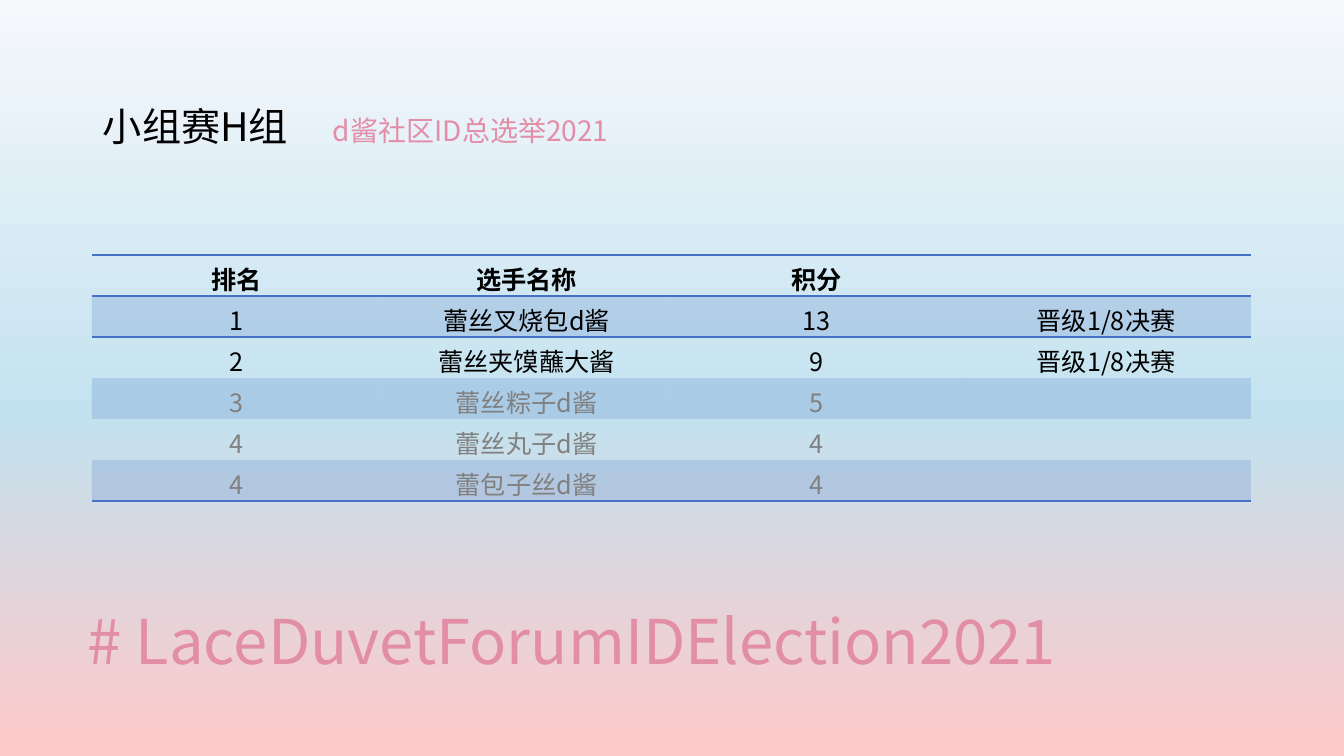
import copy
from pptx import Presentation
from pptx import util as u
from pptx.dml.color import RGBColor
from pptx.enum import text
from pptx.oxml import parse_xml
from pptx.oxml.ns import nsdecls, qn

PX = 914400 / 100.8
FONT = "Noto Sans CJK SC"
C = {"pink": "E28EA6", "black": "000000", "grey": "808080", "blue": "4472C4",
     "sky_top": "F6F8FC", "sky_mid": "C3E2EF", "sky_end": "FFC9C9"}


def px(n):
    return u.Emu(round(n * PX))


def add_run(p, words, size, color, bold=False):
    r = p.add_run()
    r.text = words
    for key, value in {"size": u.Pt(size), "bold": bold, "name": FONT}.items():
        setattr(r.font, key, value)
    r.font.color.rgb = RGBColor.from_string(C[color])
    r._r.get_or_add_rPr().append(parse_xml(f'<a:ea {nsdecls("a")} typeface="{FONT}"/>'))


prs = Presentation()
prs.slide_width, prs.slide_height = px(1344), px(756)
s = prs.slides.add_slide(prs.slide_layouts[6])

fill = s.background.fill
fill.gradient()
fill.gradient_angle = 270
stops = next(s._element.iter(qn("a:gsLst")))
stops.insert(1, copy.deepcopy(stops[0]))
for stop, (pos, color) in zip(fill.gradient_stops,
                              [(0, "sky_top"), (0.55, "sky_mid"), (1, "sky_end")]):
    stop.position = pos
    stop.color.rgb = RGBColor.from_string(C[color])

boxes = [
    ((78, 572, 1159, 146), text.MSO_ANCHOR.MIDDLE, 0,
     [("# LaceDuvetForumIDElection2021", 44, "pink")]),
    ((93, 103, 1159, 54), text.MSO_ANCHOR.TOP, 10,
     [("小组赛H组\t", 28, "black"), ("d酱社区ID总选举2021", 20, "pink")]),
]
for place, anchor, before, runs in boxes:
    tf = s.shapes.add_textbox(*map(px, place)).text_frame
    for key, value in {"word_wrap": True, "vertical_anchor": anchor}.items():
        setattr(tf, key, value)
    p = tf.paragraphs[0]
    for key, value in {"line_spacing": 0.9, "space_before": u.Pt(before)}.items():
        setattr(p, key, value)
    for run in runs:
        add_run(p, *run)
p._p.get_or_add_pPr().append(parse_xml(
    f'<a:tabLst {nsdecls("a")}><a:tab pos="{px(230)}" algn="l"/></a:tabLst>'))

rows = [
    ("排名", "选手名称", "积分", ""),
    ("1", "蕾丝叉烧包d酱", "13", "晋级1/8决赛"),
    ("2", "蕾丝夹馍蘸大酱", "9", "晋级1/8决赛"),
    ("3", "蕾丝粽子d酱", "5", ""),
    ("4", "蕾丝丸子d酱", "4", ""),
    ("4", "蕾包子丝d酱", "4", ""),
]
borders = {0: ("lnT", "lnB"), 1: ("lnT",), len(rows) - 1: ("lnB",)}
table = s.shapes.add_table(len(rows), 4, *map(px, (92, 255, 1159, 245))).table
for key in ("first_row", "horz_banding"):
    setattr(table, key, False)
next(table._tbl.iter(qn("a:tableStyleId"))).text = "{2D5ABB26-0587-4C30-8999-92F81FD0307C}"
for i, row in enumerate(rows):
    table.rows[i].height = px(41)
    for j, words in enumerate(row):
        cell = table.cell(i, j)
        p = cell.text_frame.paragraphs[0]
        p.alignment = text.PP_ALIGN.CENTER
        if words:
            add_run(p, words, 18, "grey" if i > 2 else "black", i == 0)
        tcPr = cell._tc.get_or_add_tcPr()
        for side in borders.get(i, ()):
            tcPr.append(parse_xml(
                f'<a:{side} {nsdecls("a")} w="12700"><a:solidFill>'
                f'<a:srgbClr val="{C["blue"]}"/></a:solidFill></a:{side}>'))
        if i % 2:
            cell.fill.solid()
            cell.fill.fore_color.rgb = RGBColor.from_string(C["blue"])
            tcPr.find(qn("a:solidFill"))[0].append(
                parse_xml(f'<a:alpha {nsdecls("a")} val="20000"/>'))
        else:
            cell.fill.background()

prs.save("out.pptx")
